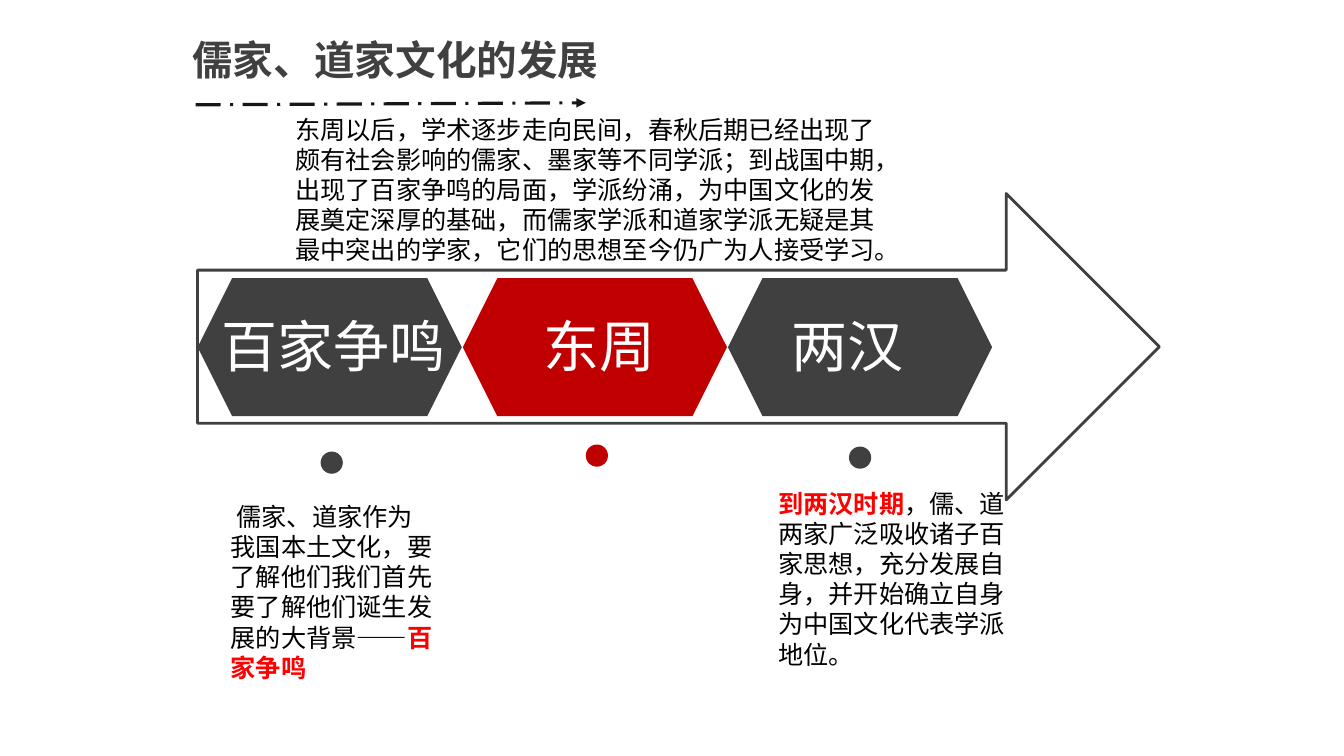
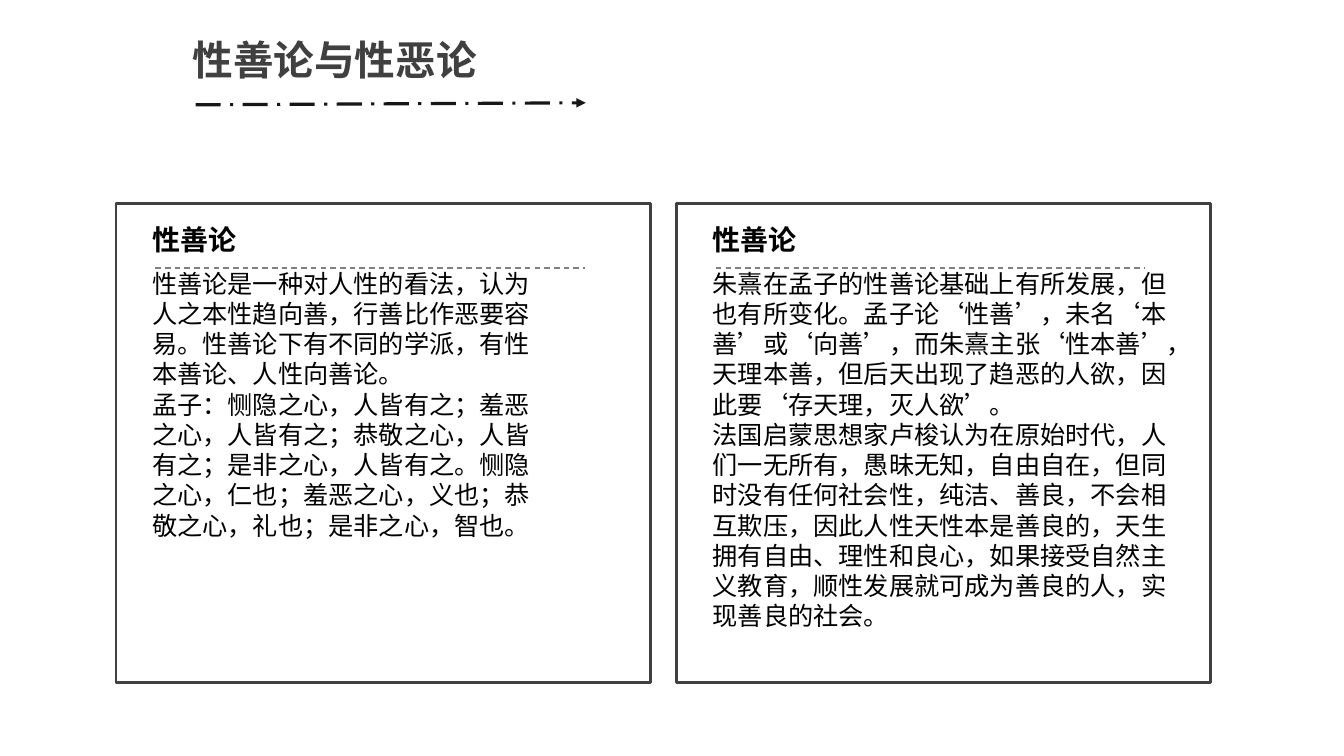
from lxml import etree
from pptx import Presentation
from pptx.dml.color import RGBColor
from pptx.enum.dml import MSO_LINE_DASH_STYLE as Dash
from pptx.enum.lang import MSO_LANGUAGE_ID as Language
from pptx.enum.shapes import MSO_CONNECTOR, MSO_SHAPE as Shape
from pptx.oxml.ns import qn
from pptx.util import Inches, Pt

COLORS = {
    "dark": "404040",
    "accent": "C00000",
    "highlight": "FF0000",
    "rule": "181717",
    "divider": "808080",
    "text": "000000",
    "white": "FFFFFF",
}
HEAD_FONT = "Noto Sans CJK SC"
STAGE_FONT = "Roboto Condensed"
BODY_FONT = "Calibri"
BOX_INSETS = (0.1, 0.05)

# Content: a paragraph is a list of (text, colour, bold) runs
TIMELINE_TITLE = ("儒家、道家文化的发展", 4.27)
# Stage name, fill, label left and width, dot left and top
STAGES = [
    ("百家争鸣", "dark", 2.1, 2.45, 3.18, 4.48),
    ("东周", "accent", 5.29, 1.32, 5.81, 4.41),
    ("两汉", "dark", 7.75, 1.32, 8.42, 4.43),
]
# Box, then runs
TIMELINE_NOTES = [
    ((2.83, 1.08, 5.96, 1.62), [
        ("东周以后，学术逐步走向民间，春秋后期已经出现了颇有社会影响的儒家、墨家等不同学派；"
         "到战国中期，出现了百家争鸣的局面，学派纷涌，为中国文化的发展奠定深厚的基础，"
         "而儒家学派和道家学派无疑是其最中突出的学家，它们的思想至今仍广为人接受学习。", "text", False),
    ]),
    ((2.19, 4.92, 2.21, 1.92), [
        (" 儒家、道家作为我国本土文化，要了解他们我们首先要了解他们诞生发展的大背景——", "text", False),
        ("百家争鸣", "highlight", True),
    ]),
    ((7.62, 4.79, 2.57, 1.92), [
        ("到两汉时期", "highlight", True),
        ("，儒、道两家广泛吸收诸子百家思想，充分发展自身，并开始确立自身为中国文化代表学派地位。",
         "text", False),
    ]),
]

PANELS_TITLE = ("性善论与性恶论", 3.05)
# Heading, body width and height, body paragraphs
PANELS = [
    ("性善论", 4.18, 3.13, [
        "性善论是一种对人性的看法，认为人之本性趋向善，行善比作恶要容易。"
        "性善论下有不同的学派，有性本善论、人性向善论。",
        "孟子：恻隐之心，人皆有之；羞恶之心，人皆有之；恭敬之心，人皆有之；是非之心，人皆有之。"
        "恻隐之心，仁也；羞恶之心，义也；恭敬之心，礼也；是非之心，智也。",
    ]),
    ("性善论", 4.82, 3.74, [
        "朱熹在孟子的性善论基础上有所发展，但也有所变化。孟子论‘性善’，未名‘本善’或‘向善’，"
        "而朱熹主张‘性本善’，天理本善，但后天出现了趋恶的人欲，因此要‘存天理，灭人欲’。",
        "法国启蒙思想家卢梭认为在原始时代，人们一无所有，愚昧无知，自由自在，"
        "但同时没有任何社会性，纯洁、善良，不会相互欺压，因此人性天性本是善良的，"
        "天生拥有自由、理性和良心，如果接受自然主义教育，顺性发展就可成为善良的人，实现善良的社会。",
    ]),
]


def color(name):
    return RGBColor.from_string(COLORS[name])


def inches(values):
    return [Inches(value) for value in values]


def add_text(slide, box, paragraphs, size, font_name, wrap=True, insets=BOX_INSETS):
    frame = slide.shapes.add_textbox(*inches(box)).text_frame
    frame.word_wrap = wrap
    frame.margin_left = frame.margin_right = Inches(insets[0])
    frame.margin_top = frame.margin_bottom = Inches(insets[1])
    for index, runs in enumerate(paragraphs):
        paragraph = frame.add_paragraph() if index else frame.paragraphs[0]
        for text, color_name, bold in runs:
            run = paragraph.add_run()
            run.text = text
            font = run.font
            font.size = Pt(size)
            font.bold = bold
            font.name = font_name
            font.language_id = Language.SIMPLIFIED_CHINESE
            font.color.rgb = color(color_name)
            # East Asian typeface
            properties = run._r.get_or_add_rPr()
            etree.SubElement(properties, qn("a:ea")).set("typeface", HEAD_FONT)


def add_shape(slide, kind, box, fill=None, line=None):
    shape = slide.shapes.add_shape(kind, *inches(box))
    shape.shadow.inherit = False
    if fill:
        shape.fill.solid()
        shape.fill.fore_color.rgb = color(fill)
    else:
        shape.fill.background()
    if line:
        shape.line.color.rgb = color(line)
        shape.line.width = Pt(2)
    else:
        shape.line.fill.background()


def add_line(slide, ends, color_name, width, dash, arrow=False):
    connector = slide.shapes.add_connector(MSO_CONNECTOR.STRAIGHT, *inches(ends))
    connector.line.color.rgb = color(color_name)
    connector.line.width = Pt(width)
    connector.line.dash_style = dash
    if arrow:
        line = connector.line._get_or_add_ln()
        etree.SubElement(line, qn("a:tailEnd")).set("type", "triangle")
    etree.SubElement(connector._element.spPr, qn("a:effectLst"))


def add_titled_slide(presentation, title, width):
    slide = presentation.slides.add_slide(presentation.slide_layouts[6])
    add_text(slide, (1.81, 0.3, width, 0.59), [[(title, "dark", True)]],
             29, HEAD_FONT, wrap=False)
    add_line(slide, (1.94, 1.04, 5.81, 1.02), "rule", 2.25,
             Dash.LONG_DASH_DOT, arrow=True)
    return slide


def build_timeline(presentation):
    slide = add_titled_slide(presentation, *TIMELINE_TITLE)
    left, pitch, dot = 1.96, 2.63, 0.22
    add_shape(slide, Shape.RIGHT_ARROW, (left, 1.92, 9.54, 3.04), line="dark")
    for index, (name, fill, label_left, label_width, dot_left, dot_top) in enumerate(STAGES):
        add_shape(slide, Shape.OVAL, (dot_left, dot_top, dot, dot), fill)
        add_shape(slide, Shape.HEXAGON, (left + index * pitch, 2.76, 2.62, 1.37), fill)
        add_text(slide, (label_left, 3.04, label_width, 0.77),
                 [[(name, "white", False)]], 40, STAGE_FONT, wrap=False)
    for box, runs in TIMELINE_NOTES:
        add_text(slide, box, [runs], 18, HEAD_FONT)


def build_panels(presentation):
    slide = add_titled_slide(presentation, *PANELS_TITLE)
    for index, (heading, width, height, paragraphs) in enumerate(PANELS):
        left = 1.15 + index * 5.56
        add_shape(slide, Shape.RECTANGLE, (left, 2.02, 5.3, 4.75), line="dark")
        add_text(slide, (left + 0.36, 2.21, 3.99, 0.34), [[(heading, "text", True)]],
                 20, HEAD_FONT, insets=(0, 0))
        add_line(slide, (left + 0.39, 2.66, left + 4.65, 2.66), "divider", 1, Dash.DASH)
        add_text(slide, (left + 0.26, 2.61, width, height),
                 [[(text, "text", False)] for text in paragraphs], 18, BODY_FONT)


def main():
    presentation = Presentation()
    presentation.slide_width = Inches(13.33)
    presentation.slide_height = Inches(7.5)
    build_timeline(presentation)
    build_panels(presentation)
    presentation.save("out.pptx")


if __name__ == "__main__":
    main()
